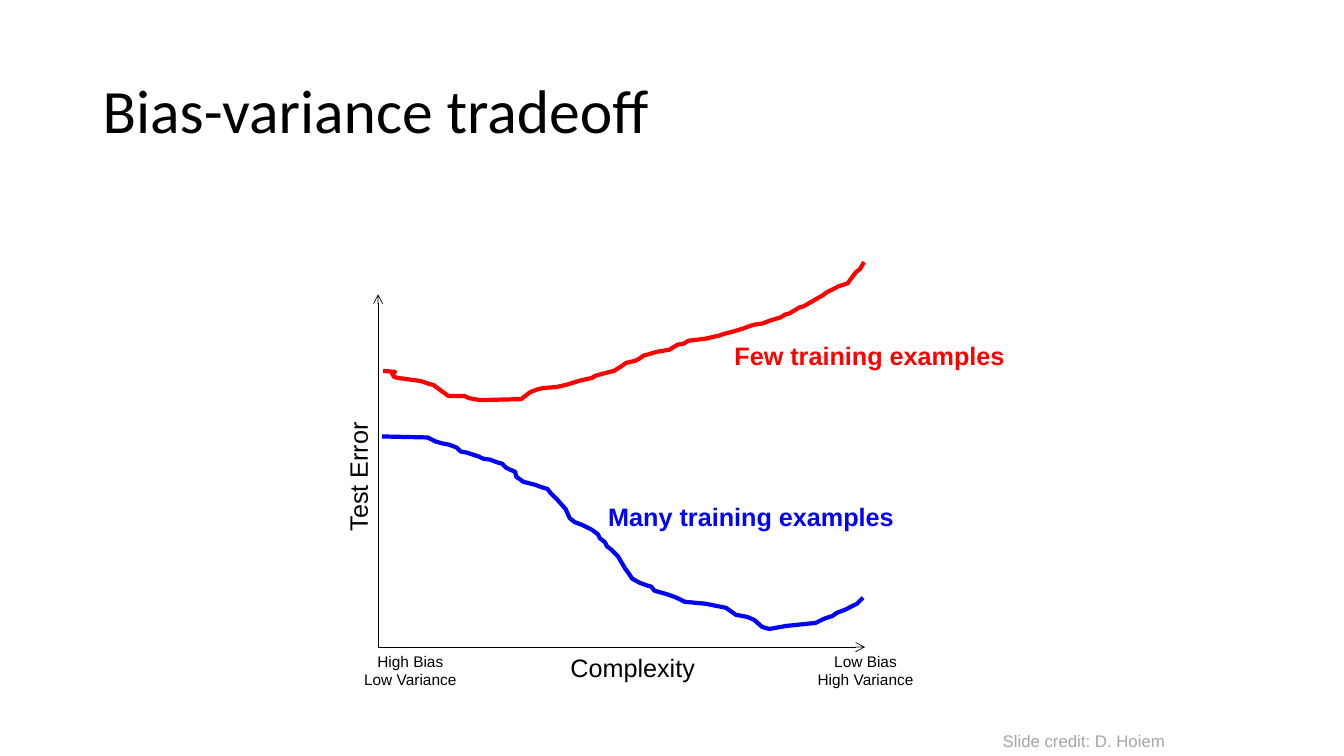
from lxml import etree
from pptx import Presentation
from pptx import util as u
from pptx.dml.color import RGBColor
from pptx.enum import shapes, text
from pptx.oxml import ns

COLORS = {"ink": "000000", "few": "FF0000", "many": "0000FF", "credit": "A6A6A6"}
LABEL = {"name": "Arial", "size": u.Pt(18)}
CURVE_LABEL = {**LABEL, "bold": True}
AXIS_END = {**LABEL, "size": u.Pt(11)}
CREDIT = {**LABEL, "size": u.Pt(12)}
TITLE = {"name": "Calibri", "size": u.Pt(44)}

CURVE_UNIT = u.Inches(0.01)
MANY_EXAMPLES = [
    (79, 233), (124, 234), (128, 236), (132, 238), (139, 240), (145, 241), (153, 244),
    (157, 248), (163, 249), (175, 253), (179, 255), (186, 256), (194, 259), (198, 260),
    (202, 264), (206, 266), (211, 268), (212, 273), (215, 275), (219, 278), (231, 281),
    (239, 284), (243, 285), (246, 289), (253, 296), (261, 305), (265, 314), (270, 318),
    (278, 321), (286, 325), (289, 327), (293, 330), (295, 334), (300, 338), (302, 342),
    (306, 345), (313, 352), (320, 364), (323, 368), (327, 374), (334, 378), (342, 381),
    (346, 382), (349, 386), (363, 390), (371, 393), (379, 397), (400, 399), (420, 403),
    (430, 410), (441, 412), (448, 415), (456, 422), (463, 424), (480, 421), (509, 418),
    (517, 414), (526, 411), (530, 408), (538, 405), (546, 401), (550, 399), (556, 393),
]
FEW_EXAMPLES = [
    (80, 168), (92, 169), (89, 171), (91, 174), (95, 175), (117, 178), (126, 181),
    (130, 182), (138, 188), (145, 193), (161, 193), (165, 195), (176, 197), (217, 196),
    (226, 189), (234, 186), (239, 185), (252, 184), (261, 182), (274, 178), (278, 177),
    (287, 175), (290, 173), (297, 171), (309, 168), (317, 163), (321, 160), (330, 158),
    (334, 156), (338, 153), (352, 149), (364, 147), (372, 142), (378, 141), (383, 138),
    (400, 136), (413, 133), (419, 131), (427, 129), (437, 126), (445, 123), (449, 122),
    (456, 121), (464, 118), (474, 115), (479, 112), (483, 111), (493, 105), (497, 104),
    (516, 93), (520, 90), (524, 88), (528, 86), (532, 84), (541, 81), (543, 78),
    (549, 70), (553, 67), (557, 60),
]


def color(name):
    return RGBColor.from_string(COLORS[name])


def add_text(page, box, lines, style, ink="ink", rotation=0):
    label = page.shapes.add_textbox(*map(u.Inches, box))
    label.rotation = rotation
    frame = label.text_frame
    frame.word_wrap = False
    frame.auto_size = text.MSO_AUTO_SIZE.SHAPE_TO_FIT_TEXT
    for index, line in enumerate(lines):
        para = frame.paragraphs[0] if index == 0 else frame.add_paragraph()
        para.alignment = text.PP_ALIGN.CENTER
        span = para.add_run()
        span.text = line
        for attribute, value in style.items():
            setattr(span.font, attribute, value)
        span.font.color.rgb = color(ink)
    return label


def add_title(page, box):
    title = add_text(page, box, ["Bias-variance tradeoff"], TITLE)
    frame = title.text_frame
    frame.auto_size = text.MSO_AUTO_SIZE.NONE
    frame.word_wrap = True
    frame.vertical_anchor = text.MSO_ANCHOR.MIDDLE
    frame.paragraphs[0].alignment = text.PP_ALIGN.LEFT
    frame.paragraphs[0].line_spacing = 0.9


def add_curve(page, left, top, points, ink):
    builder = page.shapes.build_freeform(*points[0], scale=CURVE_UNIT)
    builder.add_line_segments(points[1:], close=False)
    curve = builder.convert_to_shape(u.Inches(left), u.Inches(top))
    curve.shadow.inherit = False
    curve.fill.background()
    curve.line.color.rgb = color(ink)
    curve.line.width = u.Pt(3)


def add_axis(page, start, end):
    axis = page.shapes.add_connector(
        shapes.MSO_CONNECTOR.STRAIGHT, *map(u.Inches, (*start, *end)))
    axis.line.color.rgb = color("ink")
    axis.line.width = u.Pt(0.5)
    etree.SubElement(axis.line._get_or_add_ln(), ns.qn("a:tailEnd"), type="arrow")
    etree.SubElement(axis._element.spPr, ns.qn("a:effectLst"))


def add_diagram(page, box):
    left, top, width, height = box
    origin_x, origin_y = left + 0.75, top + 4.42

    add_curve(page, left, top, MANY_EXAMPLES, "many")
    add_curve(page, left, top, FEW_EXAMPLES, "few")
    for end in ((origin_x, origin_y - 3.5), (origin_x + 4.83, origin_y)):
        add_axis(page, (origin_x, origin_y), end)

    labels = [
        ((2.92, 2.92, 3.06, 0.4), ["Many training examples"], CURVE_LABEL, "many", 0),
        ((4.17, 1.33, 2.91, 0.4), ["Few training examples"], CURVE_LABEL, "few", 0),
        ((2.55, 4.42, 1.45, 0.4), ["Complexity"], LABEL, "ink", 0),
        ((5, 4.42, 1.17, 0.47), ["Low Bias", "High Variance"], AXIS_END, "ink", 0),
        ((0.5, 4.42, 1.14, 0.47), ["High Bias", "Low Variance"], AXIS_END, "ink", 0),
        ((-0.1, 2.53, 1.3, 0.4), ["Test Error"], LABEL, "ink", 270),
    ]
    for (x, y, label_width, label_height), lines, style, ink, rotation in labels:
        place = (left + x, top + y, label_width, label_height)
        add_text(page, place, lines, style, ink, rotation)


def add_credit(page, box):
    add_text(page, box, ["Slide credit: D. Hoiem"], CREDIT, "credit")


def main():
    deck = Presentation()
    deck.slide_width, deck.slide_height = u.Inches(13.33), u.Inches(7.5)
    page = deck.slides.add_slide(deck.slide_layouts[6])
    add_title(page, (0.92, 0.4, 11.5, 1.45))
    add_diagram(page, (3, 2, 7.2, 5))
    add_credit(page, (9.84, 7.2, 1.82, 0.3))
    deck.save("out.pptx")


if __name__ == "__main__":
    main()
